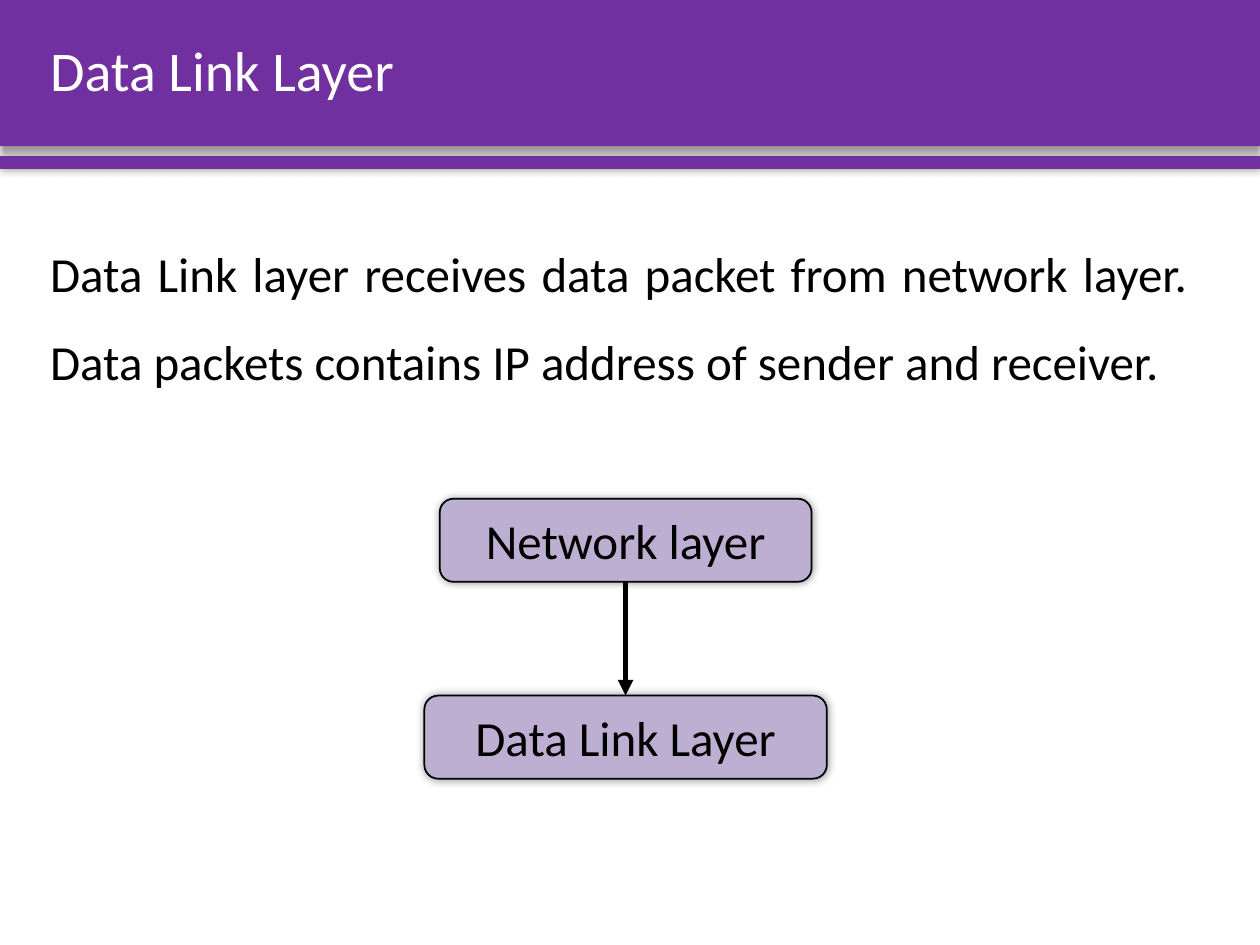
from lxml import etree
from pptx import Presentation
from pptx.dml.color import RGBColor
from pptx.enum import shapes, text
from pptx.oxml import parse_xml
from pptx.oxml.ns import nsdecls, qn
from pptx.util import Pt

PURPLE = RGBColor(0x70, 0x30, 0xA0)
LILAC = RGBColor(0xBD, 0xAF, 0xD1)
BLACK = RGBColor(0, 0, 0)
WHITE = RGBColor(255, 255, 255)

WIDTH, HEIGHT = 720, 540
MARGIN = 21.6
LAYER_HEIGHT = 47.5


def add_shadow(sp, blur, dist=0, angle=0):
    """Give the shape a 40 % black outer shadow; blur and dist in points."""
    sp.shadow.inherit = False
    effects = sp._element.spPr.find(qn("a:effectLst"))
    effects.append(parse_xml(
        f'<a:outerShdw {nsdecls("a")} blurRad="{Pt(blur)}" dist="{Pt(dist)}" '
        f'dir="{angle * 60000}" algn="ctr" rotWithShape="0">'
        '<a:srgbClr val="000000"><a:alpha val="40000"/></a:srgbClr></a:outerShdw>'))


def add_filled(s, kind, box, color):
    sp = s.shapes.add_shape(kind, *map(Pt, box))
    sp.fill.solid()
    sp.fill.fore_color.rgb = color
    sp.line.fill.background()
    return sp


def write(sp, words, size, color, align, anchor, spacing=1.0):
    tf = sp.text_frame
    tf.word_wrap = True
    tf.vertical_anchor = anchor
    p = tf.paragraphs[0]
    p.text = words
    p.alignment = align
    p.line_spacing = spacing
    p.font.name, p.font.size, p.font.color.rgb = "Calibri", Pt(size), color


def add_header(s, left, top, width, height, title):
    band = add_filled(s, shapes.MSO_SHAPE.RECTANGLE, (left, top, width, height), PURPLE)
    add_shadow(band, 4, 3, 90)
    stripe = add_filled(s, shapes.MSO_SHAPE.RECTANGLE,
                        (left, top + height + 5.8, width, 7.2), PURPLE)
    add_shadow(stripe, 5)
    tb = s.shapes.add_textbox(Pt(left + MARGIN), Pt(top), Pt(681), Pt(height))
    write(tb, title, 32, WHITE, text.PP_ALIGN.LEFT, text.MSO_ANCHOR.MIDDLE, 0.9)


def add_body(s, left, top, width, height, words):
    tb = s.shapes.add_textbox(*map(Pt, (left, top, width, height)))
    write(tb, words, 28, BLACK, text.PP_ALIGN.JUSTIFY, text.MSO_ANCHOR.TOP, 1.5)


def add_arrow(s, x, top, bottom):
    line = s.shapes.add_connector(shapes.MSO_CONNECTOR.STRAIGHT,
                                  Pt(x), Pt(top), Pt(x), Pt(bottom))
    line.line.color.rgb = BLACK
    line.line.width = Pt(3)
    etree.SubElement(line.line._get_or_add_ln(), qn("a:tailEnd"), type="triangle")
    etree.SubElement(line._element.spPr, qn("a:effectLst"))


def add_layer_stack(s, center, top, height, layers):
    """Spread (name, width) layers evenly over the height, joined by arrows."""
    step = (height - LAYER_HEIGHT) / (len(layers) - 1)
    for i, (name, width) in enumerate(layers):
        y = top + i * step
        sp = add_filled(s, shapes.MSO_SHAPE.ROUNDED_RECTANGLE,
                        (center - width / 2, y, width, LAYER_HEIGHT), LILAC)
        sp.line.color.rgb = BLACK
        sp.line.width = Pt(1)
        add_shadow(sp, 5)
        write(sp, name, 28, BLACK, text.PP_ALIGN.CENTER, text.MSO_ANCHOR.MIDDLE)
        if i:
            add_arrow(s, center, y - step + LAYER_HEIGHT, y)


def main():
    prs = Presentation()
    prs.slide_width, prs.slide_height = Pt(WIDTH), Pt(HEIGHT)
    s = prs.slides.add_slide(prs.slide_layouts[6])
    add_header(s, 0, 0, WIDTH, 83.5, "Data Link Layer")
    add_layer_stack(s, 357.5, 285, 160,
                    [("Network layer", 212.5), ("Data Link Layer", 230)])
    add_body(s, MARGIN, 118.8, 664, 155,
             "Data Link layer receives data packet from network layer. "
             "Data packets contains IP address of sender and receiver.")
    prs.save("out.pptx")


if __name__ == "__main__":
    main()
